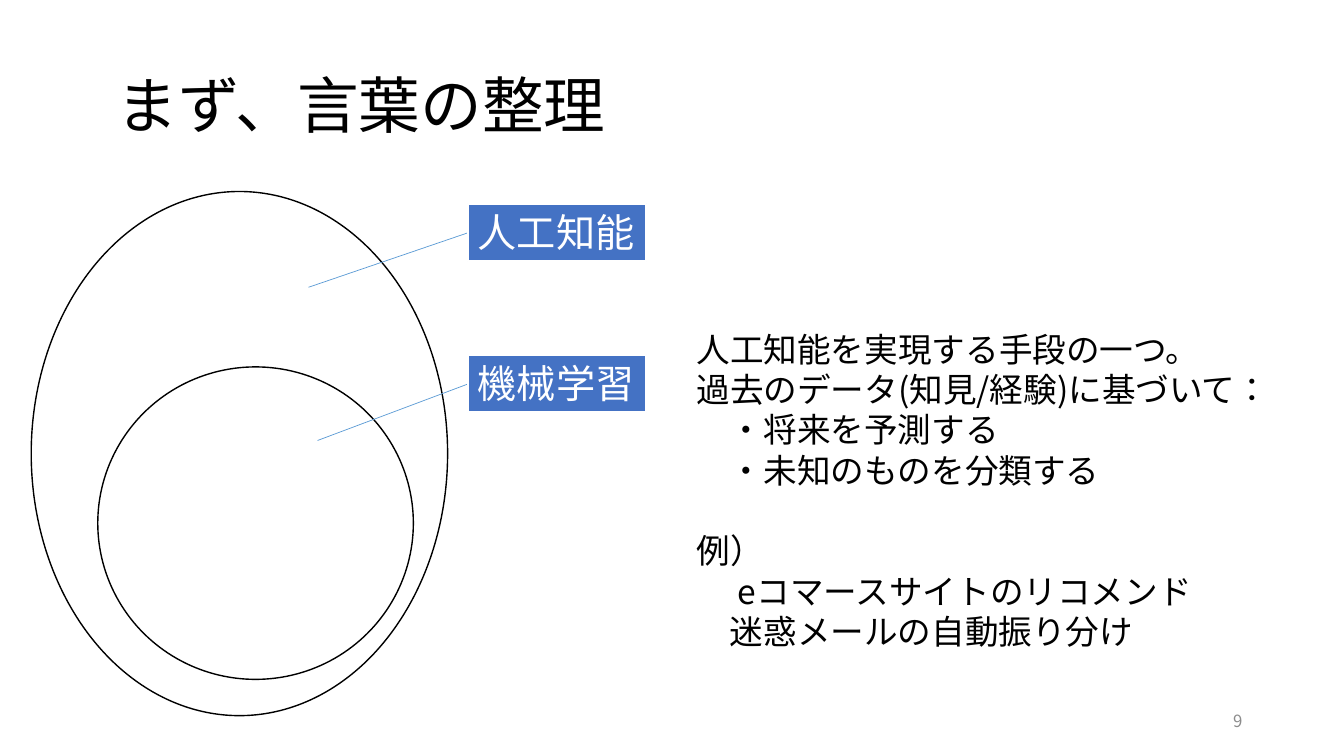
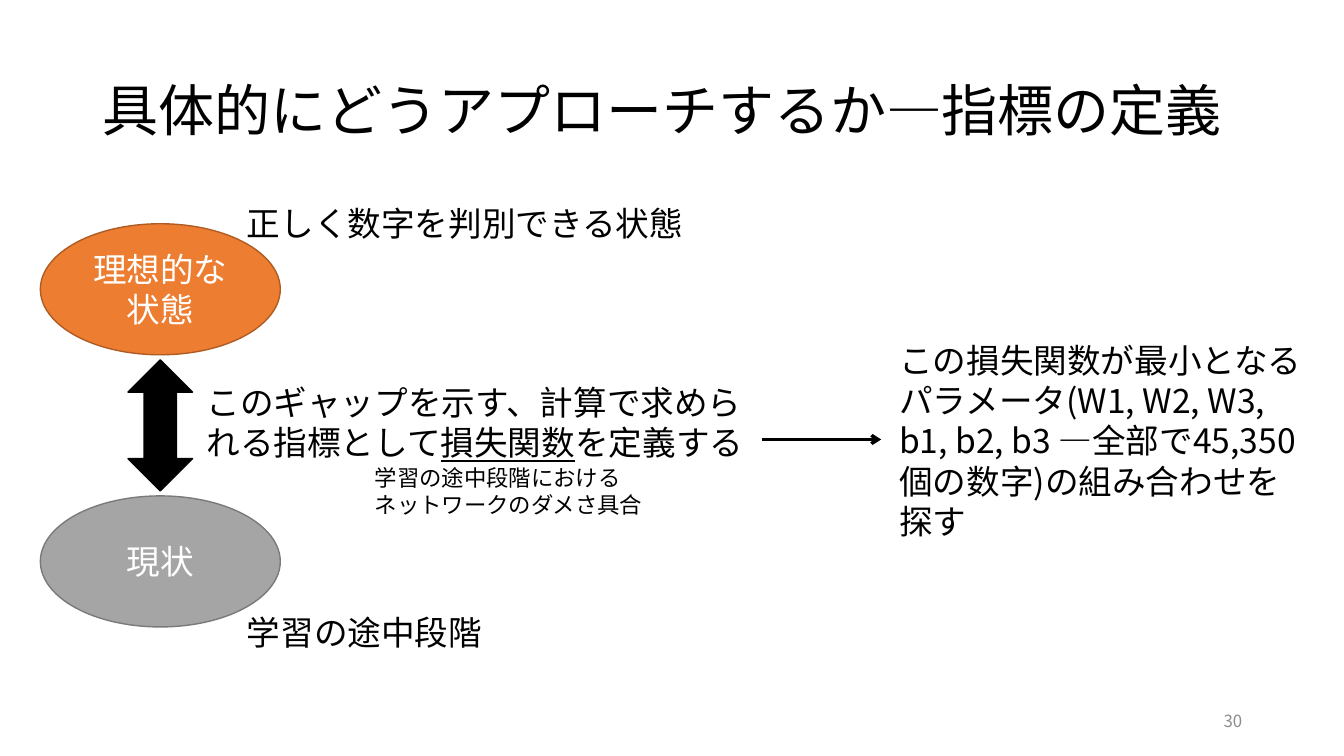
from dataclasses import dataclass

import lxml.etree
import pptx
import pptx.dml.color
import pptx.enum.lang
import pptx.enum.shapes
import pptx.enum.text
import pptx.oxml.ns
import pptx.util

Inches = pptx.util.Inches
Pt = pptx.util.Pt
qn = pptx.oxml.ns.qn
SHAPE = pptx.enum.shapes.MSO_SHAPE
ALIGN = pptx.enum.text.PP_ALIGN
ANCHOR = pptx.enum.text.MSO_ANCHOR


@dataclass(frozen=True)
class Theme:
    font: str = "Noto Sans CJK JP"
    black: str = "000000"
    white: str = "FFFFFF"
    page_grey: str = "8C8C8C"
    label_blue: str = "4472C4"
    leader_blue: str = "5B9BD5"
    ideal_fill: str = "ED7D31"
    ideal_line: str = "AF5C24"
    current_fill: str = "A5A5A5"
    current_line: str = "7A7A7A"
    title_size: int = 44
    long_title_size: int = 40
    label_size: int = 28
    body_size: int = 24
    note_size: int = 16
    page_size: int = 12


THEME = Theme()


def rgb(code):
    return pptx.dml.color.RGBColor.from_string(code)


# Text
def style_run(run, size, color):
    run.font.size = Pt(size)
    run.font.color.rgb = rgb(color)
    run.font.name = THEME.font
    east_asian = lxml.etree.SubElement(run.font._element, qn("a:ea"))
    east_asian.set("typeface", THEME.font)


def write(holder, text, size, color=THEME.black, align=ALIGN.LEFT,
          anchor=ANCHOR.TOP, wrap=True):
    frame = holder.text_frame
    frame.text = text
    frame.word_wrap = wrap
    frame.vertical_anchor = anchor
    for paragraph in frame.paragraphs:
        paragraph.alignment = align
        for run in paragraph.runs:
            style_run(run, size, color)
    return frame


def add_text(slide, box, text, size=THEME.body_size, **options):
    holder = slide.shapes.add_textbox(*map(Inches, box))
    return write(holder, text, size, **options)


# Shapes and lines
def add_figure(slide, kind, box, fill, line, width=1):
    figure = slide.shapes.add_shape(kind, *map(Inches, box))
    figure.shadow.inherit = False
    figure.fill.solid()
    figure.fill.fore_color.rgb = rgb(fill)
    figure.line.color.rgb = rgb(line)
    figure.line.width = Pt(width)
    return figure


def add_line(slide, start, end, color, width, arrow=False):
    line = slide.shapes.add_connector(
        pptx.enum.shapes.MSO_CONNECTOR.STRAIGHT, *map(Inches, start + end))
    line.line.color.rgb = rgb(color)
    line.line.width = Pt(width)
    if arrow:
        tip = lxml.etree.SubElement(line.line._get_or_add_ln(), qn("a:tailEnd"))
        tip.set("type", "arrow")
    lxml.etree.SubElement(line._element.spPr, qn("a:effectLst"))


# Slide frame: title and page number
def add_slide(deck, title, title_at, title_size, page):
    slide = deck.slides.add_slide(deck.slide_layouts[6])
    heading = add_text(slide, title_at + (11.5, 1.45), title, title_size,
                       anchor=ANCHOR.MIDDLE)
    heading.paragraphs[0].line_spacing = 0.9
    add_text(slide, (9.42, 6.95, 3, 0.4), page, THEME.page_size,
             color=THEME.page_grey, align=ALIGN.RIGHT, anchor=ANCHOR.MIDDLE)
    return slide


def add_terms_slide(deck):
    slide = add_slide(deck, "まず、言葉の整理", (1.06, 0.35),
                      THEME.title_size, "9")

    # Nested sets
    for box in ((0.31, 1.9, 4.13, 5.2), (0.97, 3.64, 3.13, 3.1)):
        add_figure(slide, SHAPE.OVAL, box, THEME.white, THEME.black)

    # Set names with leader lines
    for term, top, target in (("人工知能", 2.02, (3.06, 2.85)),
                              ("機械学習", 3.52, (3.15, 4.37))):
        add_line(slide, (4.64, top + 0.29), target, THEME.leader_blue, 0.5)
        label = add_figure(slide, SHAPE.RECTANGLE, (4.64, top, 1.77, 0.57),
                           THEME.label_blue, THEME.white, 1.5)
        write(label, term, THEME.label_size, THEME.white, wrap=False)

    # Explanation: text, indent in inches, space before in points
    lines = (
        ("人工知能を実現する手段の一つ。", 0, 0),
        ("過去のデータ(知見/経験)に基づいて：", 0, 0),
        ("・将来を予測する", 0.33, 0),
        ("・未知のものを分類する", 0.33, 0),
        ("例）", 0, 29),
        ("eコマースサイトのリコメンド", 0.41, 0),
        ("迷惑メールの自動振り分け", 0.33, 0),
    )
    explanation = add_text(slide, (6.81, 3.21, 5.95, 3.33),
                           "\n".join(text for text, _, _ in lines))
    for paragraph, (_, indent, gap) in zip(explanation.paragraphs, lines):
        paragraph._p.get_or_add_pPr().set("marL", str(Inches(indent)))
        paragraph.space_before = Pt(gap)
        for run in paragraph.runs:
            run.font.language_id = pptx.enum.lang.MSO_LANGUAGE_ID.JAPANESE


def add_loss_slide(deck):
    slide = add_slide(deck, "具体的にどうアプローチするか—指標の定義",
                      (0.92, 0.4), THEME.long_title_size, "30")

    # Ideal and current states with the gap between them
    for state, top, fill, line in (
            ("理想的な状態", 2.22, THEME.ideal_fill, THEME.ideal_line),
            ("現状", 4.92, THEME.current_fill, THEME.current_line)):
        oval = add_figure(slide, SHAPE.OVAL, (0.4, top, 2.38, 1.3), fill, line)
        write(oval, state, THEME.body_size, THEME.white, ALIGN.CENTER,
              ANCHOR.MIDDLE)
    add_figure(slide, SHAPE.UP_DOWN_ARROW, (1.27, 3.57, 0.64, 1.3),
               THEME.black, THEME.black)
    add_text(slide, (2.35, 1.96, 4.58, 0.5), "正しく数字を判別できる状態",
             wrap=False)
    add_text(slide, (2.35, 6.02, 2.56, 0.5), "学習の途中段階", wrap=False)

    # Definition of the loss function
    definition = add_text(slide, (1.95, 3.74, 5.71, 0.91),
                          "このギャップを示す、計算で求められる指標として")
    for part, underlined in (("損失関数", True), ("を定義する", False)):
        run = definition.paragraphs[0].add_run()
        run.text = part
        style_run(run, THEME.body_size, THEME.black)
        run.font.underline = underlined
    add_text(slide, (3.62, 4.56, 2.89, 0.64),
             "学習の途中段階における\nネットワークのダメさ具合",
             THEME.note_size, wrap=False)

    # Resulting search for parameters
    add_line(slide, (7.56, 4.36), (8.74, 4.36), THEME.black, 2.25, arrow=True)
    add_text(slide, (8.82, 3.32, 4.22, 2.12),
             "この損失関数が最小となるパラメータ(W1, W2, W3, b1, b2, b3 "
             "―全部で45,350個の数字)の組み合わせを探す")


def main():
    deck = pptx.Presentation()
    deck.slide_width = Inches(13.33)
    deck.slide_height = Inches(7.5)
    add_terms_slide(deck)
    add_loss_slide(deck)
    deck.save("out.pptx")


if __name__ == "__main__":
    main()
